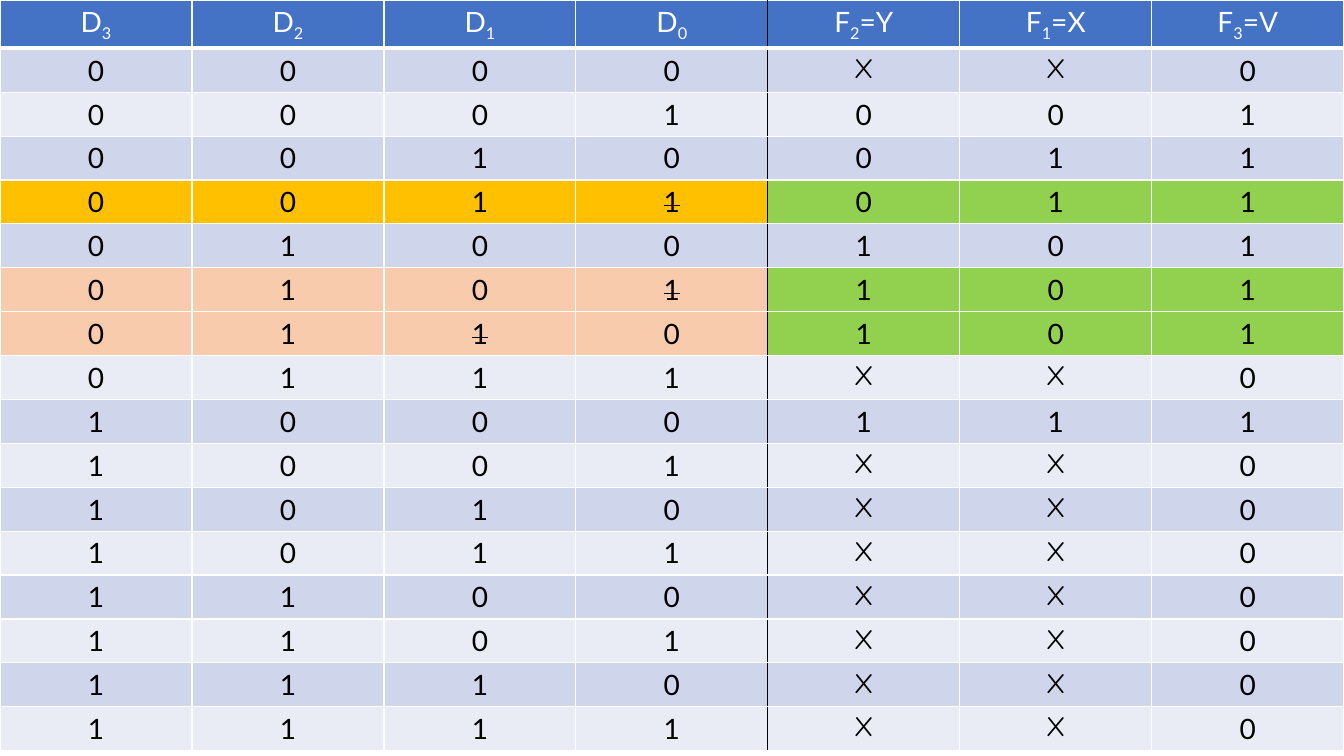
from lxml.etree import SubElement
from pptx import Presentation
from pptx.dml.color import RGBColor
from pptx.enum.text import PP_ALIGN
from pptx.oxml.ns import qn
from pptx.util import Inches, Pt

COLORS = {
    "header": "4472C4",
    "band_dark": "CFD5EA",
    "band_light": "E9EBF5",
    "amber": "FFC000",
    "peach": "F8CBAD",
    "green": "92D050",
    "white": "FFFFFF",
    "black": "000000",
}
HEADERS = [("D", "3", ""), ("D", "2", ""), ("D", "1", ""), ("D", "0", ""),
           ("F", "2", "=Y"), ("F", "1", "=X"), ("F", "3", "=V")]
OUTPUTS = ["XX0", "001", "011", "011", "101", "101", "101", "XX0",
           "111", "XX0", "XX0", "XX0", "XX0", "XX0", "XX0", "XX0"]
INPUT_COUNT = 4
HIGHLIGHTS = {3: "amber", 5: "peach", 6: "peach"}
STRUCK_CELLS = {(3, 3), (5, 3), (6, 2)}


def set_borders(cell, row, column):
    """Draw white cell borders, with a black divider before the outputs."""
    left = "black" if column == INPUT_COUNT else "white"
    right = "black" if column == INPUT_COUNT - 1 else "white"
    borders = [("a:lnR", right, 1),
               ("a:lnT", "white", 3 if row == 1 else 1),
               ("a:lnB", "white", 3 if row == 0 else 1)]
    if column > 0:
        borders.insert(0, ("a:lnL", left, 1))
    properties = cell._tc.get_or_add_tcPr()
    for tag, color, width in borders:
        line = SubElement(properties, qn(tag), w=str(Pt(width)))
        fill = SubElement(line, qn("a:solidFill"))
        SubElement(fill, qn("a:srgbClr"), val=COLORS[color])


def style_cell(cell, row, column, fill, font_name="Lato"):
    """Format a cell and return its centred paragraph."""
    set_borders(cell, row, column)
    cell.fill.solid()
    cell.fill.fore_color.rgb = RGBColor.from_string(COLORS[fill])
    paragraph = cell.text_frame.paragraphs[0]
    paragraph.alignment = PP_ALIGN.CENTER
    paragraph.font.name = font_name
    paragraph.font.size = Pt(20)
    return paragraph


def add_run(paragraph, text, color, **attributes):
    """Add a coloured run with extra character attributes."""
    run = paragraph.add_run()
    run.text = text
    run.font.color.rgb = RGBColor.from_string(COLORS[color])
    for name, value in attributes.items():
        run._r.get_or_add_rPr().set(name, value)


def fill_header(table):
    """Write the signal names with subscript indices."""
    for column, (letter, index, suffix) in enumerate(HEADERS):
        paragraph = style_cell(table.cell(0, column), 0, column, "header")
        add_run(paragraph, letter, "white")
        add_run(paragraph, index, "white", baseline="-25000")
        if suffix:
            add_run(paragraph, suffix, "white")


def fill_body(table):
    """Write each input combination in binary order with its outputs."""
    for number, outputs in enumerate(OUTPUTS):
        band = "band_light" if number % 2 else "band_dark"
        for column, value in enumerate(f"{number:04b}{outputs}"):
            fill = band
            if number in HIGHLIGHTS:
                fill = HIGHLIGHTS[number] if column < INPUT_COUNT else "green"
            font_name = "Comic Neue" if value == "X" else "Lato"
            row = number + 1
            paragraph = style_cell(table.cell(row, column), row, column, fill, font_name)
            struck = (number, column) in STRUCK_CELLS
            add_run(paragraph, value, "black", **({"strike": "sngStrike"} if struck else {}))


def add_truth_table(slide, left, top, width, height):
    """Place the priority encoder truth table in the given box."""
    shape = slide.shapes.add_table(len(OUTPUTS) + 1, len(HEADERS), left, top, width, height)
    table = shape.table
    table.first_row = False
    table.horz_banding = False
    fill_header(table)
    fill_body(table)


def main():
    """Build the slide and save it."""
    presentation = Presentation()
    presentation.slide_width = Inches(13.33)
    presentation.slide_height = Inches(7.5)
    slide = presentation.slides.add_slide(presentation.slide_layouts[6])
    add_truth_table(slide, Inches(0), Inches(0), presentation.slide_width, Inches(7.37))
    presentation.save("out.pptx")


if __name__ == "__main__":
    main()
